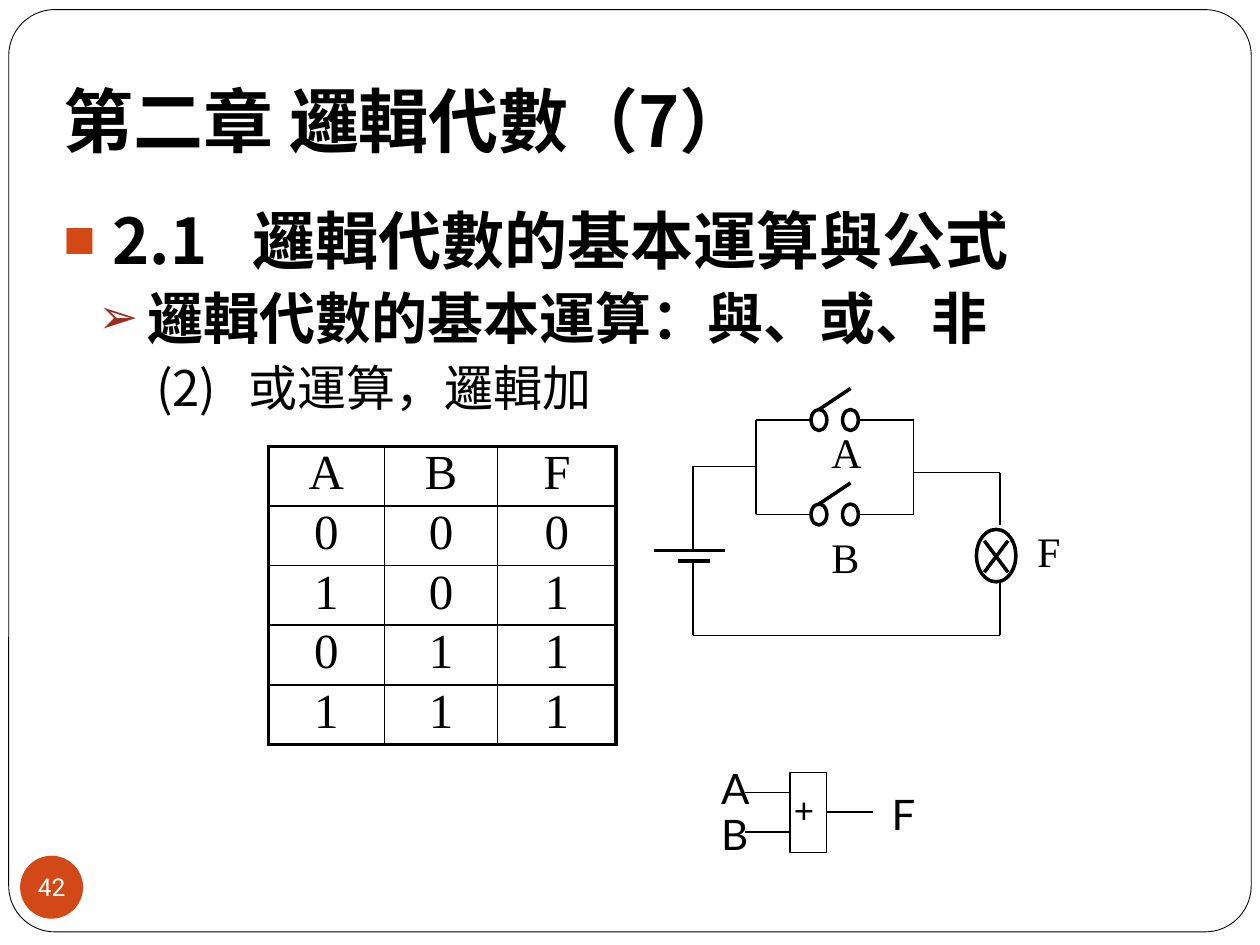
from pptx import Presentation
from pptx.dml.color import RGBColor
from pptx.enum.shapes import MSO_CONNECTOR, MSO_SHAPE
from pptx.enum.text import MSO_ANCHOR, MSO_AUTO_SIZE, PP_ALIGN
from pptx.oxml.ns import qn
from pptx.util import Pt
from lxml import etree

STRAIGHT = MSO_CONNECTOR.STRAIGHT
ELLIPSE, RECTANGLE = MSO_SHAPE.OVAL, MSO_SHAPE.RECTANGLE
ROUNDED = MSO_SHAPE.ROUNDED_RECTANGLE
LEFT, CENTER = PP_ALIGN.LEFT, PP_ALIGN.CENTER
TOP, MIDDLE, BOTTOM = MSO_ANCHOR.TOP, MSO_ANCHOR.MIDDLE, MSO_ANCHOR.BOTTOM
NO_AUTOFIT = MSO_AUTO_SIZE.NONE

BLACK = RGBColor(0x00, 0x00, 0x00)
WHITE = RGBColor(0xFF, 0xFF, 0xFF)
ORANGE = RGBColor(0xD3, 0x48, 0x17)
DARK_RED = RGBColor(0x9B, 0x2D, 0x1F)
CJK, SERIF, SANS, DIGITS = "Noto Sans CJK JP", "Times New Roman", "Lato", "Roboto"
WIRE, THICK = 0.75, 2


def add_xml(parent, tag, **attributes):
    return etree.SubElement(parent, qn(tag), **attributes)


def add_run(paragraph, text, size, font, color=BLACK, bold=False):
    run = paragraph.add_run()
    run.text = text
    run.font.size, run.font.name, run.font.bold = Pt(size), font, bold
    run.font.color.rgb = color
    if font == CJK:
        add_xml(run.font._element, "a:ea", typeface=font)


def place(holder, box):
    holder.left, holder.top, holder.width, holder.height = (Pt(v) for v in box)


def add_outline(shapes, kind, box, weight, fill=None):
    outline = shapes.add_shape(kind, *(Pt(v) for v in box))
    outline.shadow.inherit = False
    if fill is None:
        outline.fill.background()
    else:
        outline.fill.solid()
        outline.fill.fore_color.rgb = fill
    if weight:
        outline.line.color.rgb = BLACK
        outline.line.width = Pt(weight)
    else:
        outline.line.fill.background()
    return outline


def add_line(shapes, origin, ends, weight=WIRE):
    x, y = origin
    x1, y1, x2, y2 = ends
    line = shapes.add_connector(STRAIGHT, Pt(x + x1), Pt(y + y1), Pt(x + x2), Pt(y + y2))
    line.line.color.rgb = BLACK
    line.line.width = Pt(weight)
    add_xml(line._element.spPr, "a:effectLst")


def add_label(shapes, box, text, size, font):
    label = shapes.add_textbox(*(Pt(v) for v in box))
    label.text_frame.word_wrap = True
    add_run(label.text_frame.paragraphs[0], text, size, font)


def add_frame(slide, box):
    frame = add_outline(slide.shapes, ROUNDED, box, 0.5, WHITE)
    frame.adjustments[0] = 0.05
    tree = slide.shapes._spTree
    tree.remove(frame._element)
    tree.insert(2, frame._element)


def add_title(slide, box):
    title = slide.shapes.title
    place(title, box)
    text = title.text_frame
    text.vertical_anchor, text.auto_size, text.word_wrap = BOTTOM, NO_AUTOFIT, True
    text.margin_bottom = Pt(7.2)
    text.paragraphs[0].alignment = LEFT
    add_run(text.paragraphs[0], "第二章 邏輯代數（7）", 40, CJK, bold=True)


def add_outline_list(slide, box):
    body = slide.placeholders[1]
    place(body, box)
    text = body.text_frame
    text.vertical_anchor, text.auto_size, text.word_wrap = TOP, NO_AUTOFIT, True
    items = [
        ("2.1\t邏輯代數的基本運算與公式", 36, True, 28, 28, 0, "■", ORANGE),
        ("邏輯代數的基本運算：與、或、非", 32, True, 48, 28, 3.7, "➢", DARK_RED),
        ("(2)\t或運算，邏輯加", 28, False, 106, 53, 3.7, None, None),
    ]
    for level, (words, size, bold, margin, hang, before, mark, color) in enumerate(items):
        item = text.paragraphs[0] if level == 0 else text.add_paragraph()
        item.level = level
        item.space_before = Pt(before)
        props = item._p.get_or_add_pPr()
        props.set("marL", str(Pt(margin)))
        props.set("indent", str(-Pt(hang)))
        if mark:
            add_xml(add_xml(props, "a:buClr"), "a:srgbClr", val=str(color))
            add_xml(props, "a:buSzPct", val="85000")
            add_xml(props, "a:buChar", char=mark)
        else:
            add_xml(props, "a:buNone")
        if level == 0:
            add_xml(add_xml(props, "a:tabLst"), "a:tab", pos=str(Pt(108)), algn="l")
        add_run(item, words, size, CJK, bold=bold)


def add_page_number(slide, box):
    badge = add_outline(slide.shapes, ELLIPSE, box, 0, ORANGE)
    text = badge.text_frame
    text.margin_left = text.margin_right = text.margin_top = text.margin_bottom = 0
    text.word_wrap, text.vertical_anchor = False, MIDDLE
    text.paragraphs[0].alignment = CENTER
    add_run(text.paragraphs[0], "42", 14, DIGITS, WHITE)


def set_borders(cell, edges):
    props = cell._tc.get_or_add_tcPr()
    for position, (side, outer) in enumerate(edges):
        border = etree.Element(qn(f"a:ln{side}"), w=str(Pt(2.25 if outer else 1)))
        add_xml(add_xml(border, "a:solidFill"), "a:srgbClr", val=str(BLACK))
        props.insert(position, border)


def add_truth_table(slide, box):
    rows = ["ABF", "000", "101", "011", "111"]
    widths = [66.2, 64.8, 67.7]
    table = slide.shapes.add_table(len(rows), len(widths), *(Pt(v) for v in box)).table
    table.first_row = table.horz_banding = False
    for column, width in zip(table.columns, widths):
        column.width = Pt(width)
    for r, values in enumerate(rows):
        table.rows[r].height = Pt(box[3] / len(rows))
        for c, value in enumerate(values):
            cell = table.cell(r, c)
            cell.fill.background()
            cell.margin_left = cell.margin_right = Pt(5)
            cell.margin_top = cell.margin_bottom = 0
            set_borders(cell, [("L", c == 0), ("R", c == len(widths) - 1),
                               ("T", r == 0), ("B", r == len(rows) - 1)])
            paragraph = cell.text_frame.paragraphs[0]
            paragraph.alignment = CENTER
            add_run(paragraph, value, 28, SERIF)


def add_circuit(slide, origin):
    x, y = origin
    shapes = slide.shapes.add_group_shape().shapes
    for top in (0, 54):
        for contact in (89.5, 107.5):
            add_outline(shapes, ELLIPSE, (x + contact, y + top + 12, 9, 12), THICK)
        add_line(shapes, origin, (94, top + 12, 112, top), THICK)
        add_line(shapes, origin, (58, top + 18, 89.5, top + 18))
        add_line(shapes, origin, (116.5, top + 18, 148, top + 18))
    add_outline(shapes, ELLIPSE, (x + 184, y + 80.5, 22.5, 30), THICK)
    wires = [(58, 18, 58, 72), (148, 18, 148, 72), (148, 48, 197.5, 48),
             (197.5, 48, 197.5, 78), (197.5, 110.5, 197.5, 141),
             (197.5, 141, 22, 141), (22, 141, 22, 98.5),
             (22, 44.5, 58, 44.5), (22, 44.5, 22, 92.5)]
    lamp_cross = [(188.5, 87, 202, 105), (202, 87, 188.5, 105)]
    battery = [(13.5, 98.5, 31.5, 98.5), (0, 92.5, 40, 92.5)]
    for ends in wires:
        add_line(shapes, origin, ends)
    for ends in lamp_cross + battery:
        add_line(shapes, origin, ends, THICK)
    for name, left, top in [("A", 94, 18), ("B", 94, 78), ("F", 211.5, 74.5)]:
        add_label(shapes, (x + left, y + top, 31.5, 36.5), name, 24, SERIF)


def add_or_gate(slide, origin):
    x, y = origin
    shapes = slide.shapes.add_group_shape().shapes
    add_outline(shapes, RECTANGLE, (x + 46.5, y + 9.5, 21, 45.5), WIRE)
    for ends in [(46.5, 21, 21, 21), (46.5, 43.5, 21, 43.5), (94, 32, 67.5, 32)]:
        add_line(shapes, origin, ends)
    for name, left, top in [("A", 0, 0), ("B", 0, 26.5), ("F", 97.5, 15)]:
        add_label(shapes, (x + left, y + top, 21.6, 36.5), name, 24, SANS)
    add_label(shapes, (x + 41.5, y + 15, 26, 31.5), "+", 20, SANS)


def main():
    deck = Presentation()
    deck.slide_width, deck.slide_height = Pt(720), Pt(540)
    slide = deck.slides.add_slide(deck.slide_layouts[1])
    add_frame(slide, (5, 5.5, 710, 527))
    add_title(slide, (29, 21.5, 612, 78))
    add_page_number(slide, (11.5, 489, 36, 36))
    add_outline_list(slide, (29, 111.5, 612, 363))
    add_truth_table(slide, (153.4, 255, 198.7, 170.5))
    add_circuit(slide, (374, 222))
    add_or_gate(slide, (405, 432))
    deck.save("out.pptx")


if __name__ == "__main__":
    main()
